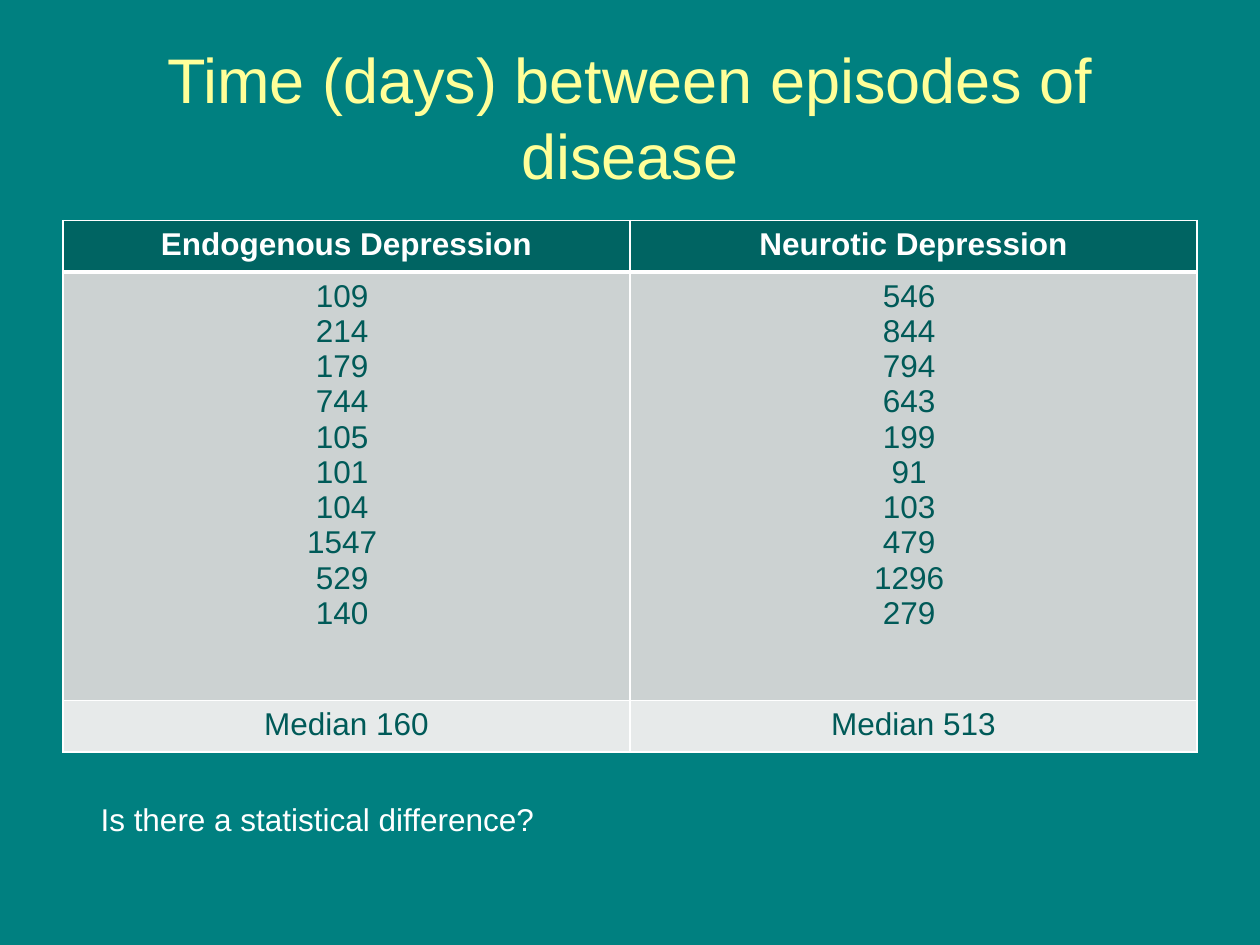
from lxml.etree import SubElement
from pptx import Presentation
from pptx.dml.color import RGBColor as RGB
from pptx.enum.text import MSO_ANCHOR as Anchor, MSO_AUTO_SIZE as AutoSize, PP_ALIGN as Align
from pptx.oxml.ns import qn
from pptx.util import Inches, Pt

COLORS = {
    "background": "008080",
    "title": "FFFF99",
    "white": "FFFFFF",
    "header": "006462",
    "days": "CCD2D2",
    "median": "E7EAEA",
    "ink": "005A58",
}


def write(frame, lines, size, color, align, bold=False):
    for index, line in enumerate(lines):
        para = frame.paragraphs[0] if index == 0 else frame.add_paragraph()
        para.alignment = align
        span = para.add_run()
        span.text = line
        span.font.name = "Arial"
        span.font.size = Pt(size)
        span.font.bold = bold
        span.font.color.rgb = RGB.from_string(COLORS[color])


def add_border(properties, side, width):
    line = SubElement(properties, qn(f"a:{side}"), w=str(Pt(width)))
    fill = SubElement(line, qn("a:solidFill"))
    SubElement(fill, qn("a:srgbClr"), val=COLORS["white"])


deck = Presentation()
deck.slide_width = Inches(10)
deck.slide_height = Inches(7.5)
page = deck.slides.add_slide(deck.slide_layouts[6])
page.background.fill.solid()
page.background.fill.fore_color.rgb = RGB.from_string(COLORS["background"])

title = page.shapes.add_textbox(Inches(0.5), Inches(0.3), Inches(9), Inches(1.25))
title.text_frame.word_wrap = True
title.text_frame.vertical_anchor = Anchor.MIDDLE
write(title.text_frame, ["Time (days) between episodes of disease"], 36, "title", Align.CENTER)

endogenous = [109, 214, 179, 744, 105, 101, 104, 1547, 529, 140]
neurotic = [546, 844, 794, 643, 199, 91, 103, 479, 1296, 279]
rows = [
    (0.41, "header", "white", [["Endogenous Depression"], ["Neurotic Depression"]]),
    (3.4, "days", "ink", [[f"{days} " for days in group] for group in (endogenous, neurotic)]),
    (0.41, "median", "ink", [["Median 160"], ["Median 513"]]),
]

table = page.shapes.add_table(3, 2, Inches(0.5), Inches(1.75), Inches(9), Inches(4.22)).table
for row, (height, fill, ink, texts) in enumerate(rows):
    table.rows[row].height = Inches(height)
    for column, lines in enumerate(texts):
        cell = table.cell(row, column)
        write(cell.text_frame, lines, 18, ink, Align.CENTER, bold=row == 0)
        properties = cell._tc.get_or_add_tcPr()
        for side in ("lnL", "lnR", "lnT", "lnB"):
            thick = (row, side) in ((0, "lnB"), (1, "lnT"))
            add_border(properties, side, 3 if thick else 0.96)
        cell.fill.solid()
        cell.fill.fore_color.rgb = RGB.from_string(COLORS[fill])

question = page.shapes.add_textbox(Inches(0.7), Inches(6.3), Inches(8.3), Inches(0.38))
question.text_frame.word_wrap = True
question.text_frame.auto_size = AutoSize.SHAPE_TO_FIT_TEXT
write(question.text_frame, ["Is there a statistical difference?"], 18, "white", Align.LEFT)

deck.save("out.pptx")
